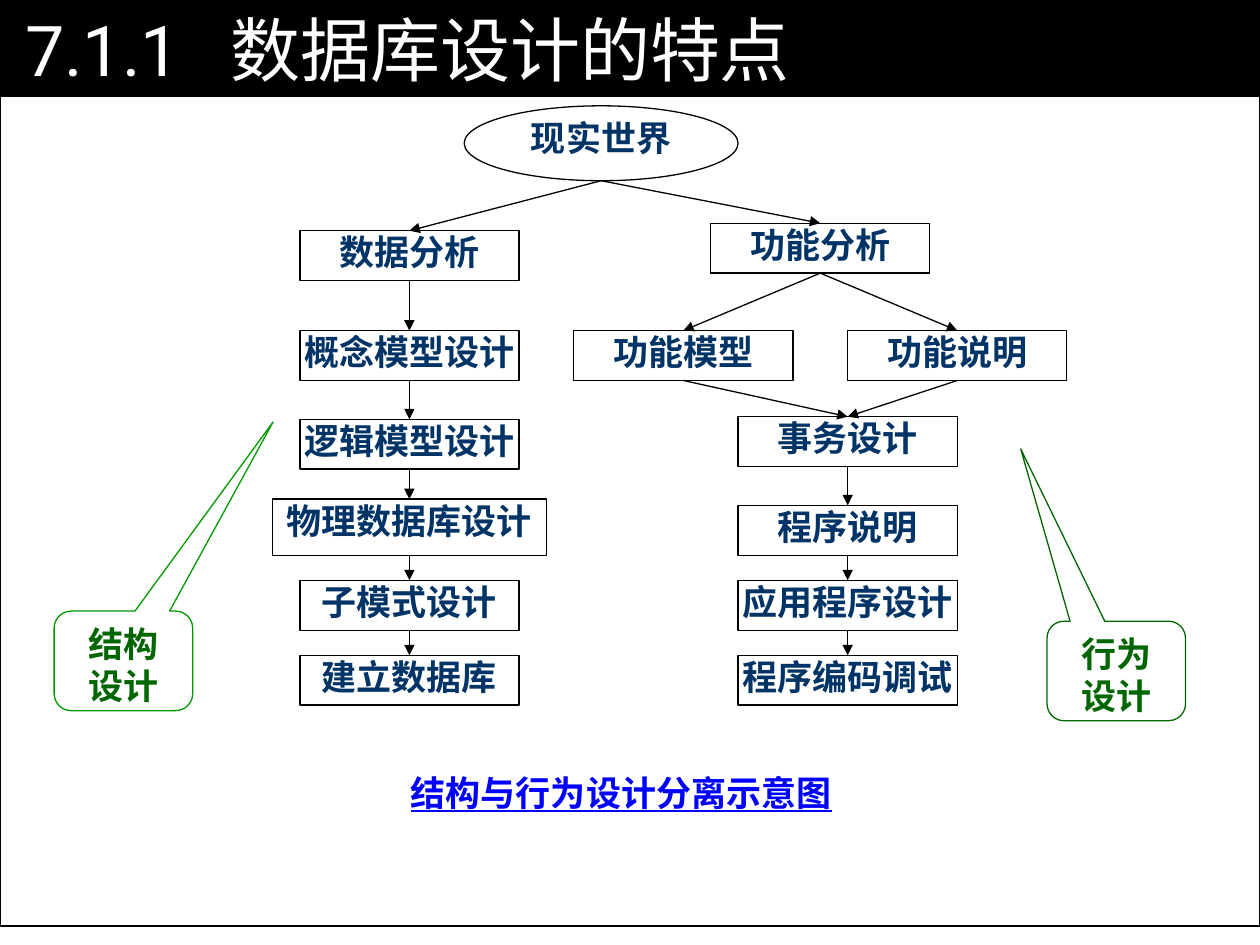
from dataclasses import dataclass

from lxml import etree
from pptx import Presentation
from pptx.dml.color import RGBColor
from pptx.enum.shapes import MSO_CONNECTOR, MSO_SHAPE
from pptx.enum.text import MSO_ANCHOR, PP_ALIGN
from pptx.oxml.ns import qn
from pptx.util import Inches, Pt

RECT, OVAL = MSO_SHAPE.RECTANGLE, MSO_SHAPE.OVAL
CALLOUT = MSO_SHAPE.ROUNDED_RECTANGULAR_CALLOUT
STRAIGHT = MSO_CONNECTOR.STRAIGHT
TOP, BOTTOM = 0, 2
LEFT, CENTER = PP_ALIGN.LEFT, PP_ALIGN.CENTER

WIDTH, HEIGHT = 10, 7.5
X0, Y0 = 2.38, 0.84          # origin of the flow chart grid
COL = WIDTH / 46
ROW = (5.2 - Y0) / 44
SERIF, SANS, HEAD = "Times New Roman", "DejaVu Sans", "Roboto"
BLACK, WHITE, NAVY, BLUE = "000000", "FFFFFF", "003366", "0000FF"
GREEN, LIME = "006600", "009900"


@dataclass
class Node:
    """A flow chart step, placed in grid columns and rows."""
    text: str
    col: float
    row: float
    wide: float = 8
    high: float = 4
    kind: int = RECT


@dataclass
class Note:
    text: str
    left: float
    top: float
    line: str
    tip: tuple[float, float]


NODES = [
    Node("现实世界", 6, 0, 10, 6, OVAL),
    Node("数据分析", 0, 10),
    Node("概念模型设计", 0, 18),
    Node("逻辑模型设计", 0, 25.1),
    Node("物理数据库设计", -1, 31.5, 10, 4.5),
    Node("子模式设计", 0, 38),
    Node("建立数据库", 0, 44),
    Node("功能分析", 15, 9.4),
    Node("功能模型", 10, 18),
    Node("功能说明", 20, 18),
    Node("事务设计", 16, 24.9),
    Node("程序说明", 16, 32),
    Node("应用程序设计", 16, 38),
    Node("程序编码调试", 16, 44),
]
CHAINS = [
    ["现实世界", "数据分析", "概念模型设计", "逻辑模型设计",
     "物理数据库设计", "子模式设计", "建立数据库"],
    ["现实世界", "功能分析", "功能模型", "事务设计",
     "程序说明", "应用程序设计", "程序编码调试"],
    ["功能分析", "功能说明", "事务设计"],
]
NOTES = [
    Note("行为设计", 8.31, 4.93, GREEN, (-0.69, -2.23)),
    Note("结构设计", 0.43, 4.85, LIME, (1.08, -2.4)),
]


def color(code: str) -> RGBColor:
    return RGBColor.from_string(code)


def add_box(slide, kind, left, top, wide, high, fill=WHITE, line=BLACK):
    """Draw a shape in inches; None leaves out its fill or its line."""
    box = slide.shapes.add_shape(kind, *map(Inches, (left, top, wide, high)))
    box.shadow.inherit = False
    if fill:
        box.fill.solid()
        box.fill.fore_color.rgb = color(fill)
    else:
        box.fill.background()
    if line:
        box.line.color.rgb = color(line)
        box.line.width = Pt(0.75)
    else:
        box.line.fill.background()
    return box


def put_text(box, text, size=20, font=SERIF, ink=NAVY, bold=True, under=None,
             align=CENTER, side=0.1, edge=0.05, tab=None):
    frame = box.text_frame
    frame.word_wrap = True
    frame.vertical_anchor = MSO_ANCHOR.TOP
    frame.margin_left = frame.margin_right = Inches(side)
    frame.margin_top = frame.margin_bottom = Inches(edge)
    para = frame.paragraphs[0]
    para.alignment = align
    if tab:
        stops = etree.SubElement(para._p.get_or_add_pPr(), qn("a:tabLst"))
        etree.SubElement(stops, qn("a:tab"), pos=str(Inches(tab)), algn="l")
    run = para.add_run()
    run.text = text
    run.font.size = Pt(size)
    run.font.name = font
    run.font.bold = bold
    run.font.underline = under
    run.font.color.rgb = color(ink)


def add_node(slide, node: Node):
    box = add_box(slide, node.kind, X0 + node.col * COL, Y0 + node.row * ROW,
                  node.wide * COL, node.high * ROW)
    put_text(box, node.text, side=0, edge=0)
    return box


def add_arrow(slide, start, end):
    """Join the bottom of one box to the top of the next."""
    arrow = slide.shapes.add_connector(
        STRAIGHT, start.left + start.width // 2, start.top + start.height,
        end.left + end.width // 2, end.top)
    if start.auto_shape_type == RECT:
        arrow.begin_connect(start, BOTTOM)
    end_site = TOP
    arrow.end_connect(end, end_site)
    arrow.line.color.rgb = color(BLACK)
    arrow.line.width = Pt(0.75)
    etree.SubElement(arrow.line._get_or_add_ln(), qn("a:tailEnd"),
                     type="triangle")
    etree.SubElement(arrow._element.spPr, qn("a:effectLst"))


def add_note(slide, note: Note):
    box = add_box(slide, CALLOUT, note.left, note.top, 1.1, 0.79,
                  fill=None, line=note.line)
    box.adjustments[0], box.adjustments[1] = note.tip
    box.adjustments[2] = 0.17
    put_text(box, note.text, font=SANS, ink=GREEN)


def main():
    deck = Presentation()
    deck.slide_width, deck.slide_height = Inches(WIDTH), Inches(HEIGHT)
    slide = deck.slides.add_slide(deck.slide_layouts[6])

    add_box(slide, RECT, 0, 0.13, WIDTH, 7.22)
    boxes = {node.text: add_node(slide, node) for node in NODES}
    for chain in CHAINS:
        for start, end in zip(chain, chain[1:]):
            add_arrow(slide, boxes[start], boxes[end])

    title = add_box(slide, RECT, 0, 0, WIDTH, 0.77, fill=BLACK, line=None)
    put_text(title, "7.1.1\t数据库设计的特点", size=40, font=HEAD, ink=WHITE,
             bold=False, align=LEFT, side=0.2, tab=1.63)
    label = add_box(slide, RECT, 2.64, 6.07, 4.58, 0.6, line=WHITE)
    put_text(label, "结构与行为设计分离示意图", ink=BLUE, under=True)
    for note in NOTES:
        add_note(slide, note)
    deck.save("out.pptx")


if __name__ == "__main__":
    main()
